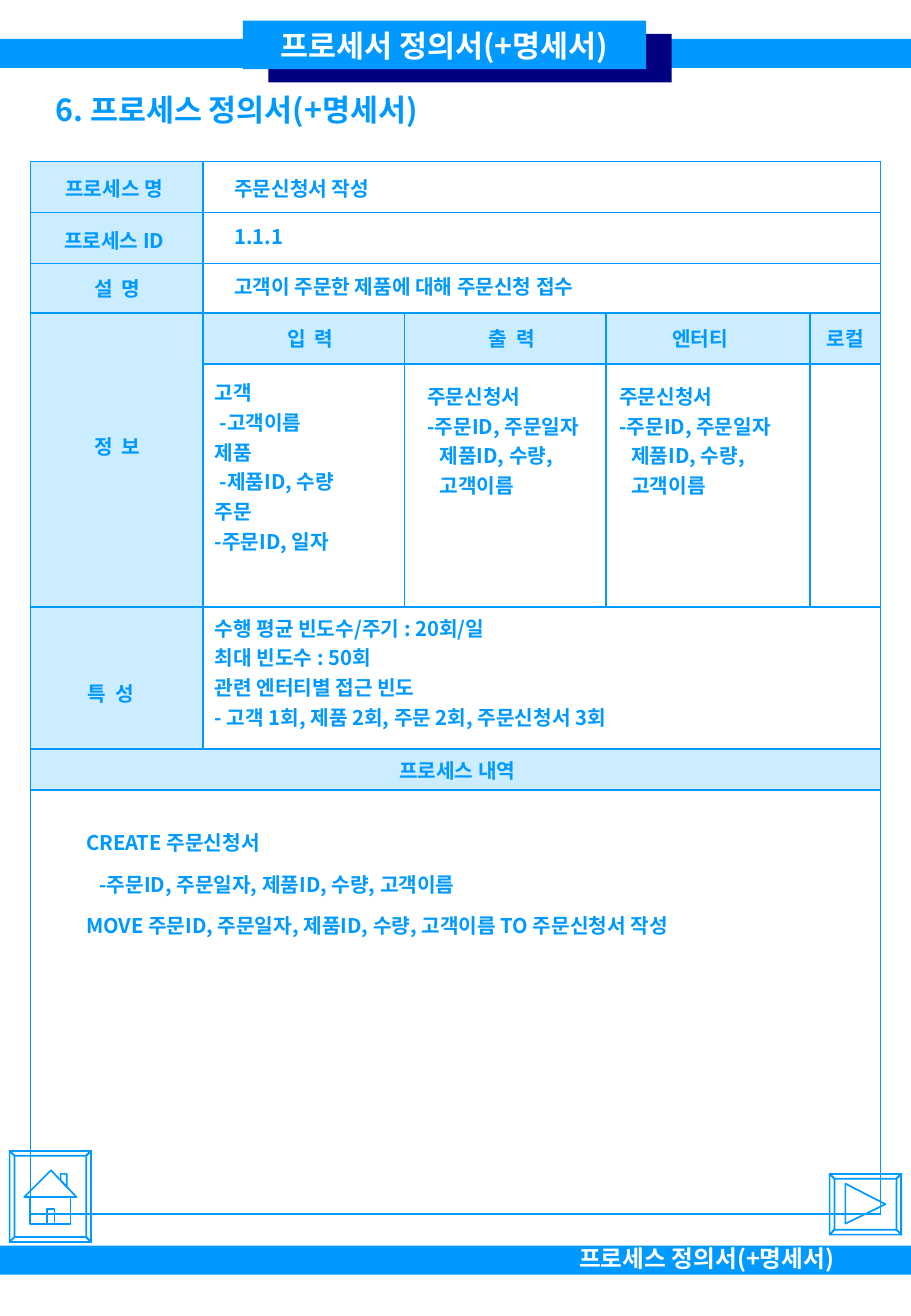
from dataclasses import dataclass
from typing import NamedTuple

from lxml.etree import SubElement
from pptx import Presentation
from pptx.dml.color import RGBColor
from pptx.enum.shapes import MSO_CONNECTOR, MSO_SHAPE
from pptx.enum.text import MSO_ANCHOR, MSO_AUTO_SIZE, PP_ALIGN
from pptx.oxml.ns import qn
from pptx.util import Cm, Pt

FONT = "Noto Sans CJK KR"
COLORS = {"blue": "0099FF", "pale": "CCECFF", "navy": "000080", "white": "FFFFFF"}
Point = tuple[float, float]


class Box(NamedTuple):
    """Left, top, width and height in inches."""
    x: float
    y: float
    w: float
    h: float


class Row(NamedTuple):
    text: str
    shift: float = 0


@dataclass
class Label:
    box: Box
    rows: list[Row]
    center: bool = False
    size: int = 12
    color: str = "blue"
    space: float = 1
    wide: bool = False  # stretch the gap between two syllables


def size(inch: float) -> Cm:
    return Cm(inch * 2.54)


def rgb(name: str) -> RGBColor:
    return RGBColor.from_string(COLORS[name])


def add_run(para, text: str, label: Label, gap: bool = False) -> None:
    run = para.add_run()
    run.text = text
    font = run.font
    font.size, font.bold, font.name = Pt(label.size), True, FONT
    font.color.rgb = rgb(label.color)
    props = run._r.get_or_add_rPr()
    SubElement(props, qn("a:ea")).set("typeface", FONT)
    if gap:
        props.set("spc", "270")


def write(shape, label: Label) -> None:
    frame = shape.text_frame
    frame.word_wrap = True
    for num, row in enumerate(label.rows):
        para = frame.add_paragraph() if num else frame.paragraphs[0]
        para.alignment = PP_ALIGN.CENTER if label.center else PP_ALIGN.LEFT
        para.line_spacing = label.space
        if num:
            para.space_before = Pt(7.5)
        if row.shift:
            para._p.get_or_add_pPr().set("marL", str(size(row.shift)))
        if label.wide:
            first, last = row.text.split()
            add_run(para, first, label)
            add_run(para, " ", label, gap=True)
            add_run(para, last, label)
        else:
            add_run(para, row.text, label)


def add_label(slide, label: Label) -> None:
    shape = slide.shapes.add_textbox(*map(size, label.box))
    write(shape, label)
    shape.text_frame.auto_size = MSO_AUTO_SIZE.SHAPE_TO_FIT_TEXT


def add_rect(slide, box: Box, color: str):
    shape = slide.shapes.add_shape(MSO_SHAPE.RECTANGLE, *map(size, box))
    shape.shadow.inherit = False
    shape.fill.solid()
    shape.fill.fore_color.rgb = rgb(color)
    shape.line.fill.background()
    return shape


def add_line(slide, start: Point, end: Point) -> None:
    line = slide.shapes.add_connector(
        MSO_CONNECTOR.STRAIGHT, *map(size, (*start, *end)))
    line.line.color.rgb = rgb("blue")
    line.line.width = Pt(1)
    SubElement(line._element.spPr, qn("a:effectLst"))


def add_button(slide, box: Box, edge: float, icon: list[list[Point]]) -> None:
    """Draw a bevelled frame with an outline icon in it."""
    x, y, right, low = box.x, box.y, box.x + box.w, box.y + box.h
    outer = [(x, y), (right, y), (right, low), (x, low)]
    inner = [(x + edge, y + edge), (right - edge, y + edge),
             (right - edge, low - edge), (x + edge, low - edge)]
    sides = [[outer[i], outer[(i + 1) % 4], inner[(i + 1) % 4], inner[i]]
             for i in range(4)]
    build = None
    for path in [outer, *sides, *icon]:
        first, *rest = [(size(a), size(b)) for a, b in path]
        if build is None:
            build = slide.shapes.build_freeform(*first, scale=1.0)
        else:
            build.move_to(*first)
        build.add_line_segments(rest, close=True)
    shape = build.convert_to_shape()
    shape.shadow.inherit = False
    shape.fill.background()
    shape.line.color.rgb = rgb("blue")
    shape.line.width = Pt(1)


# Form grid
LEFT, RIGHT, TOP, END = 0.25, 7.25, 1.33, 10
SPLIT = 1.67
FILLS = [Box(LEFT, 6.18, 7, 0.33), Box(SPLIT, 2.58, 5.58, 0.42),
         Box(LEFT, TOP, 1.42, 4.83)]
LINES = [((LEFT, y), (RIGHT, y)) for y in (TOP, 1.75, 2.17, 2.58, 5, 6.17, 6.51, END)]
LINES += [((x, TOP), (x, END)) for x in (LEFT, RIGHT)]
LINES += [((x, 2.58), (x, 5)) for x in (3.33, 4.99, 6.67)]
LINES += [((SPLIT, TOP), (SPLIT, 6.17)), ((SPLIT, 3), (RIGHT, 3))]

# Wording of the form
ORDER = [Row("주문신청서"), Row("-주문ID, 주문일자"),
         Row("제품ID, 수량,", 0.1), Row("고객이름", 0.1)]
LABELS = [
    Label(Box(0.36, 0.7, 4.64, 0.4), [Row("6. 프로세스 정의서(+명세서)")], size=18),
    Label(Box(0.44, 1.4, 1.17, 0.3), [Row("프로세스 명")]),
    Label(Box(0.43, 1.83, 1.17, 0.3), [Row("프로세스 ID")]),
    Label(Box(1.83, 1.4, 1.58, 0.3), [Row("주문신청서 작성")]),
    Label(Box(1.83, 1.8, 1.58, 0.3), [Row("1.1.1")]),
    Label(Box(1.83, 2.21, 5, 0.3), [Row("고객이 주문한 제품에 대해 주문신청 접수")]),
    Label(Box(5.32, 2.64, 0.89, 0.3), [Row("엔터티")], center=True),
    Label(Box(6.67, 2.64, 0.58, 0.3), [Row("로컬")], center=True),
    Label(Box(3.11, 6.2, 1.31, 0.3), [Row("프로세스 내역")], center=True),
    Label(Box(SPLIT, 3.14, 1.58, 1.47),
          [Row("고객"), Row("-고객이름", 0.04), Row("제품"),
           Row("-제품ID, 수량", 0.04), Row("주문"), Row("-주문ID, 일자")], space=0.7),
    Label(Box(SPLIT, 5.08, 5.08, 0.98),
          [Row("수행 평균 빈도수/주기 : 20회/일"), Row("최대 빈도수 : 50회"),
           Row("관련 엔터티별 접근 빈도"),
           Row("- 고객 1회, 제품 2회, 주문 2회, 주문신청서 3회")], space=0.7),
    Label(Box(0.61, 6.75, 5.89, 1.03),
          [Row("CREATE 주문신청서"),
           Row("-주문ID, 주문일자, 제품ID, 수량, 고객이름", 0.11),
           Row("MOVE 주문ID, 주문일자, 제품ID, 수량, 고객이름 TO 주문신청서 작성")],
          space=1.2),
    Label(Box(4.67, 10.2, 2.67, 0.34), [Row("프로세스 정의서(+명세서)")],
          size=14, color="white"),
]
LABELS += [Label(Box(x, 3.17, 1.67, 0.98), ORDER, space=0.7) for x in (3.42, 5)]
LABELS += [Label(Box(x, y, 0.89, 0.3), [Row(text)], center=True, wide=True)
           for x, y, text in [(0.52, 2.23, "설 명"), (0.52, 3.53, "정 보"),
                              (0.47, 5.56, "특 성"), (2.11, 2.64, "입 력"),
                              (3.77, 2.64, "출 력")]]

# Button icons
HOUSE = [
    [(0.2, 9.86), (0.42, 9.64), (0.63, 9.86)],
    [(0.5, 9.72), (0.5, 9.67), (0.55, 9.67), (0.55, 9.78)],
    [(0.25, 9.86), (0.58, 9.86), (0.58, 10.08), (0.25, 10.08)],
    [(0.39, 9.96), (0.45, 9.96), (0.45, 10.08), (0.39, 10.08)],
]
ARROW = [[(6.96, 9.75), (7.29, 9.92), (6.96, 10.08)]]


def main() -> None:
    deck = Presentation()
    deck.slide_width, deck.slide_height = size(7.5), size(10.84)
    slide = deck.slides.add_slide(deck.slide_layouts[6])

    # Shaded cells and rules
    for box in FILLS:
        add_rect(slide, box, "pale")
    for start, end in LINES:
        add_line(slide, start, end)

    # Bands and title plate
    for y in (0.32, 10.26):
        add_rect(slide, Box(0, y, 7.5, 0.24), "blue")
    add_rect(slide, Box(2.21, 0.28, 3.32, 0.4), "navy")
    head = Label(Box(2, 0.17, 3.32, 0.4), [Row("프로세서 정의서(+명세서)")],
                 center=True, size=18, color="white")
    plate = add_rect(slide, head.box, "blue")
    write(plate, head)
    plate.text_frame.vertical_anchor = MSO_ANCHOR.MIDDLE

    # Text and buttons
    for label in LABELS:
        add_label(slide, label)
    add_button(slide, Box(0.08, 9.48, 0.67, 0.75), 0.04, HOUSE)
    add_button(slide, Box(6.83, 9.67, 0.59, 0.5), 0.04, ARROW)
    deck.save("out.pptx")


if __name__ == "__main__":
    main()
